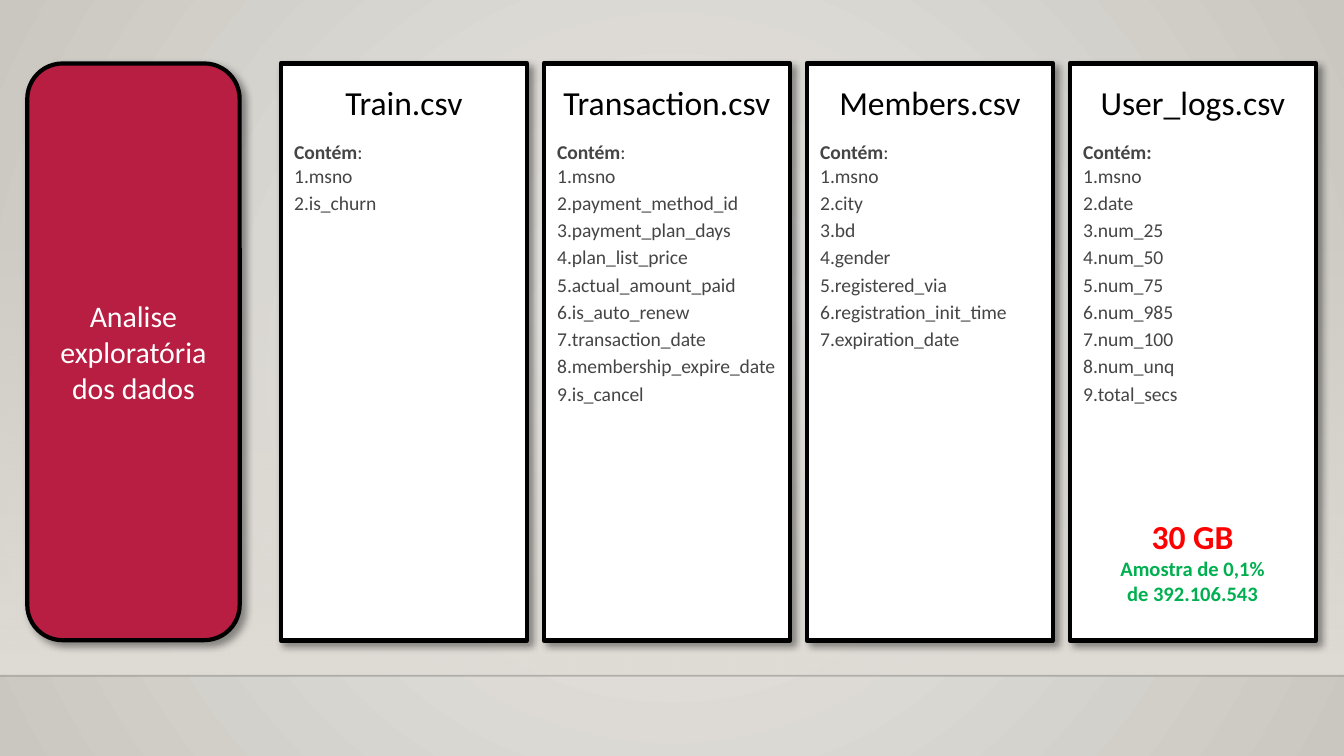
from lxml.etree import SubElement
from pptx import Presentation
from pptx.dml.color import RGBColor
from pptx.enum.shapes import MSO_CONNECTOR, MSO_SHAPE
from pptx.enum.text import MSO_ANCHOR, MSO_AUTO_SIZE, PP_ALIGN
from pptx.oxml.ns import qn
from pptx.util import Pt

BLACK = RGBColor(0x00, 0x00, 0x00)
WHITE = RGBColor(0xFF, 0xFF, 0xFF)
CRIMSON = RGBColor(0xB7, 0x1E, 0x42)
GRAY = RGBColor(0x45, 0x45, 0x45)
RED = RGBColor(0xFF, 0x00, 0x00)
GREEN = RGBColor(0x00, 0xB0, 0x50)
BACKGROUND_CENTER = RGBColor(0xEC, 0xEA, 0xE7)
BACKGROUND_EDGE = RGBColor(0xCA, 0xC7, 0xC1)
WALL = RGBColor(0xDF, 0xDB, 0xD5)

FONT = "Calibri"
SLIDE_WIDTH, SLIDE_HEIGHT = 720, 405
FLOOR_TOP = 362
BOX_TOP, BOX_HEIGHT = 34, 309
CARD_LEFT, CARD_WIDTH, CARD_STEP = 150.5, 131.8, 140.9

# File name, whether the colon after "Contém" is bold, column names
FILES = [
    ("Train.csv", False, ["msno", "is_churn"]),
    ("Transaction.csv", False, [
        "msno", "payment_method_id", "payment_plan_days", "plan_list_price",
        "actual_amount_paid", "is_auto_renew", "transaction_date",
        "membership_expire_date", "is_cancel"]),
    ("Members.csv", False, [
        "msno", "city", "bd", "gender", "registered_via",
        "registration_init_time", "expiration_date"]),
    ("User_logs.csv", True, [
        "msno", "date", "num_25", "num_50", "num_75", "num_985", "num_100",
        "num_unq", "total_secs"]),
]


def add_box(preset, left, width, fill_color, line_width):
    """Add a filled, black-outlined shape with a soft drop shadow."""
    shape = slide.shapes.add_shape(
        preset, Pt(left), Pt(BOX_TOP), Pt(width), Pt(BOX_HEIGHT))
    shape.fill.solid()
    shape.fill.fore_color.rgb = fill_color
    shape.line.color.rgb = BLACK
    shape.line.width = Pt(line_width)
    shape.shadow.inherit = False
    effects = shape._element.spPr.find(qn("a:effectLst"))
    shadow = SubElement(
        effects, qn("a:outerShdw"), blurRad=str(Pt(4)), dist=str(Pt(3)),
        dir="2700000", algn="tl", rotWithShape="0")
    color = SubElement(shadow, qn("a:srgbClr"), val=str(BLACK))
    SubElement(color, qn("a:alpha"), val="40000")
    shape.text_frame.word_wrap = True
    return shape


def add_run(paragraph, text, size, color, bold=False):
    run = paragraph.add_run()
    run.text = text
    run.font.name = FONT
    run.font.size = Pt(size)
    run.font.bold = bold
    run.font.color.rgb = color


presentation = Presentation()
presentation.slide_width = Pt(SLIDE_WIDTH)
presentation.slide_height = Pt(SLIDE_HEIGHT)
slide = presentation.slides.add_slide(presentation.slide_layouts[6])

# Radial background
background = slide.background.fill
background.gradient()
for stop, color in zip(background.gradient_stops,
                       (BACKGROUND_CENTER, BACKGROUND_EDGE)):
    stop.color.rgb = color
gradient = slide._element.find(".//" + qn("a:gradFill"))
gradient.remove(gradient.find(qn("a:lin")))
radial = SubElement(gradient, qn("a:path"), {"path": "circle"})
SubElement(radial, qn("a:fillToRect"), l="50000", t="50000", r="50000", b="50000")

# Wall that fades in downwards to the floor line
wall = slide.shapes.add_shape(
    MSO_SHAPE.RECTANGLE, 0, Pt(119.5), Pt(SLIDE_WIDTH), Pt(FLOOR_TOP - 119.5))
wall.shadow.inherit = False
wall.line.fill.background()
wall.fill.gradient()
wall.fill.gradient_angle = 270
for stop in wall.fill.gradient_stops:
    stop.color.rgb = WALL
top_color = wall._element.spPr.find(".//" + qn("a:srgbClr"))
SubElement(top_color, qn("a:alpha"), val="0")

floor_line = slide.shapes.add_connector(
    MSO_CONNECTOR.STRAIGHT, 0, Pt(FLOOR_TOP), Pt(SLIDE_WIDTH), Pt(FLOOR_TOP))
floor_line.line.color.rgb = BLACK
floor_line.line.width = Pt(1)
line_properties = floor_line._element.spPr
SubElement(line_properties.find(".//" + qn("a:srgbClr")), qn("a:alpha"), val="20000")
SubElement(line_properties, qn("a:effectLst"))

# Section label
label = add_box(MSO_SHAPE.ROUNDED_RECTANGLE, 14.6, 113.8, CRIMSON, 2.25)
label.text_frame.vertical_anchor = MSO_ANCHOR.MIDDLE
paragraph = label.text_frame.paragraphs[0]
paragraph.alignment = PP_ALIGN.CENTER
add_run(paragraph, "Analise exploratória dos dados", 16, WHITE)

# One card per data file
for index, (file_name, bold_colon, columns) in enumerate(FILES):
    card = add_box(MSO_SHAPE.RECTANGLE, CARD_LEFT + index * CARD_STEP,
                   CARD_WIDTH, WHITE, 2.5)
    frame = card.text_frame
    frame.vertical_anchor = MSO_ANCHOR.TOP
    frame.margin_top = Pt(9.7)

    heading = frame.paragraphs[0]
    heading.alignment = PP_ALIGN.CENTER
    heading.space_after = Pt(9.8)
    add_run(heading, file_name, 18, BLACK)

    intro = frame.add_paragraph()
    intro.alignment = PP_ALIGN.LEFT
    add_run(intro, "Contém", 10.5, GRAY, bold=True)
    add_run(intro, ":", 10.5, GRAY, bold=bold_colon)

    for column in columns:
        item = frame.add_paragraph()
        properties = item._p.get_or_add_pPr()
        properties.set("marL", str(Pt(7.2)))
        properties.set("indent", str(-Pt(7.2)))
        SubElement(properties, qn("a:buFont"), typeface="+mj-lt")
        SubElement(properties, qn("a:buAutoNum"), type="arabicPeriod")
        item.alignment = PP_ALIGN.LEFT
        item.space_after = Pt(2)
        add_run(item, column, 10.5, GRAY)

# Size note on the last card
note = slide.shapes.add_textbox(Pt(586), Pt(272.9), Pt(105.8), Pt(55.4)).text_frame
note.word_wrap = False
note.auto_size = MSO_AUTO_SIZE.SHAPE_TO_FIT_TEXT
paragraph = note.paragraphs[0]
paragraph.alignment = PP_ALIGN.CENTER
add_run(paragraph, "30 GB", 18, RED, bold=True)
for text in ("Amostra de 0,1%", "de 392.106.543"):
    paragraph = note.add_paragraph()
    paragraph.alignment = PP_ALIGN.CENTER
    add_run(paragraph, text, 11, GREEN, bold=True)

presentation.save("out.pptx")
